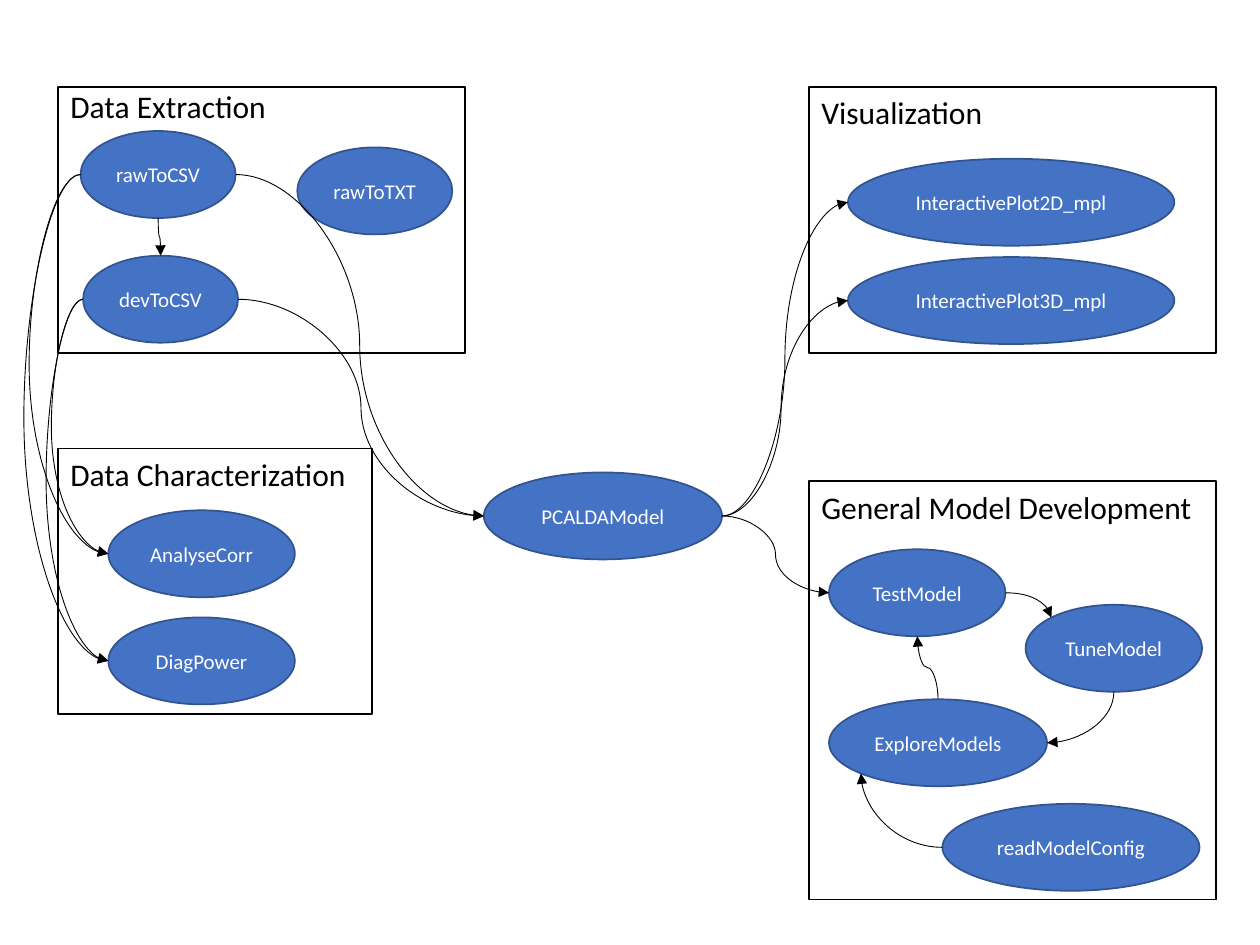
from math import cos, pi, sin

from lxml import etree
from pptx import Presentation
from pptx.dml.color import RGBColor
from pptx.enum.shapes import MSO_CONNECTOR, MSO_SHAPE
from pptx.enum.text import MSO_ANCHOR, PP_ALIGN
from pptx.oxml.ns import qn
from pptx.util import Inches, Pt

RECT, ELLIPSE = MSO_SHAPE.RECTANGLE, MSO_SHAPE.OVAL
CURVE = MSO_CONNECTOR.CURVE
TOP, MIDDLE = MSO_ANCHOR.TOP, MSO_ANCHOR.MIDDLE
LEFT, CENTER = PP_ALIGN.LEFT, PP_ALIGN.CENTER

FONT = "Calibri"
BLACK, WHITE, BLUE, NAVY = "000000", "FFFFFF", "4472C4", "325491"
NODE_H = 0.69
SITES = {"top": 0, "top_left": 1, "left": 2, "bottom_left": 3, "bottom": 4, "right": 6}

PANELS = [
    ((0.46, 0.69, 3.23, 2.11), "Data Extraction", 0, False,
     [("rawToCSV", 0.18, 0.35, 1.23), ("rawToTXT", 1.9, 0.48, 1.23),
      ("devToCSV", 0.2, 1.34, 1.23)]),
    ((0.46, 3.56, 2.49, 2.11), "Data Characterization", 0.05, True,
     [("AnalyseCorr", 0.4, 0.49, 1.48), ("DiagPower", 0.4, 1.34, 1.48)]),
    ((6.42, 3.82, 3.23, 3.32), "General Model Development", 0.05, True,
     [("TestModel", 0.16, 0.54, 1.4), ("TuneModel", 1.72, 0.98, 1.4),
      ("ExploreModels", 0.16, 1.73, 1.73), ("readModelConfig", 1.06, 2.56, 2.04)]),
    ((6.42, 0.69, 3.23, 2.11), "Visualization", 0.05, True,
     [("InteractivePlot2D_mpl", 0.31, 0.57, 2.59),
      ("InteractivePlot3D_mpl", 0.31, 1.35, 2.59)]),
]

FLOWS = [
    ("rawToCSV", "bottom", "devToCSV", "top", 0.5),
    ("rawToCSV", "left", "AnalyseCorr", "left", -1.86),
    ("devToCSV", "left", "AnalyseCorr", "left", -1.26),
    ("devToCSV", "left", "DiagPower", "left", -1.47),
    ("rawToCSV", "left", "DiagPower", "left", -2.05),
    ("devToCSV", "right", "PCALDAModel", "left", 0.5),
    ("rawToCSV", "right", "PCALDAModel", "left", 0.5),
    ("PCALDAModel", "right", "InteractivePlot3D_mpl", "left", 0.47),
    ("PCALDAModel", "right", "InteractivePlot2D_mpl", "left", 0.5),
    ("PCALDAModel", "right", "TestModel", "left", 0.5),
    ("TestModel", "right", "TuneModel", "top_left", None),
    ("TuneModel", "bottom", "ExploreModels", "right", None),
    ("ExploreModels", "top", "TestModel", "bottom", 0.5),
    ("readModelConfig", "left", "ExploreModels", "bottom_left", None),
]


def color(fmt, value):
    fmt.rgb = RGBColor.from_string(value)


def add_text(tf, text, size=12, fill=WHITE, align=CENTER, anchor=MIDDLE, wrap=True, top=0.05):
    tf.word_wrap = wrap
    tf.vertical_anchor = anchor
    tf.margin_top = Inches(top)
    p = tf.paragraphs[0]
    p.alignment = align
    r = p.add_run()
    r.text = text
    r.font.name = FONT
    r.font.size = Pt(size)
    color(r.font.color, fill)


def add_box(s, kind, box, fill, line):
    sp = s.shapes.add_shape(kind, *map(Inches, box))
    sp.shadow.inherit = False
    sp.fill.solid()
    color(sp.fill.fore_color, fill)
    color(sp.line.color, line)
    sp.line.width = Pt(1)
    return sp


def add_node(s, text, x, y, w):
    sp = add_box(s, ELLIPSE, (x, y, w, NODE_H), BLUE, NAVY)
    add_text(sp.text_frame, text)
    return sp


def add_panel(s, box, title, top, wrap, items):
    sp = add_box(s, RECT, box, WHITE, BLACK)
    add_text(sp.text_frame, title, size=18, fill=BLACK, align=LEFT, anchor=TOP,
             wrap=wrap, top=top)
    return {text: add_node(s, text, box[0] + x, box[1] + y, w) for text, x, y, w in items}


def site_point(sp, site):
    angle = pi / 2 + SITES[site] * pi / 4
    return (round(sp.left + sp.width / 2 * (1 + cos(angle))),
            round(sp.top + sp.height / 2 * (1 - sin(angle))))


def add_flow(s, start, start_site, end, end_site, bend):
    x1, y1 = site_point(start, start_site)
    x2, y2 = site_point(end, end_site)
    dx, dy = x2 - x1, y2 - y1
    rotation = 0
    if start_site in ("top", "bottom"):
        rotation = 90 if dy > 0 else 270
        cx, cy = (x1 + x2) // 2, (y1 + y2) // 2
        half_w, half_h = abs(dy) // 2, abs(dx) // 2
        if (dx > 0) == (dy > 0):
            half_h = -half_h
        x1, y1, x2, y2 = cx - half_w, cy - half_h, cx + half_w, cy + half_h
    c = s.shapes.add_connector(CURVE, x1, y1, x2, y2)
    color(c.line.color, BLACK)
    c.line.width = Pt(0.5)
    el = c._element
    sppr = el.find(qn("p:spPr"))
    if rotation:
        sppr.find(qn("a:xfrm")).set("rot", str(rotation * 60000))
    geom = sppr.find(qn("a:prstGeom"))
    if bend is None:
        geom.set("prst", "curvedConnector2")
    else:
        etree.SubElement(geom.find(qn("a:avLst")), qn("a:gd"), name="adj1",
                         fmla=f"val {round(bend * 100000)}")
    etree.SubElement(sppr.find(qn("a:ln")), qn("a:tailEnd"), type="triangle")
    etree.SubElement(sppr, qn("a:effectLst"))
    glue = next(el.iter(qn("p:cNvCxnSpPr")))
    for tag, sp, site in (("a:stCxn", start, start_site), ("a:endCxn", end, end_site)):
        etree.SubElement(glue, qn(tag), id=str(sp.shape_id), idx=str(SITES[site]))


def build_workflow(s):
    nodes = {}
    for panel in PANELS:
        nodes.update(add_panel(s, *panel))
    nodes["PCALDAModel"] = add_node(s, "PCALDAModel", 3.84, 3.75, 1.89)
    for start, start_site, end, end_site, bend in FLOWS:
        add_flow(s, nodes[start], start_site, nodes[end], end_site, bend)


prs = Presentation()
prs.slide_width, prs.slide_height = Inches(10), Inches(7.5)
build_workflow(prs.slides.add_slide(prs.slide_layouts[6]))
prs.save("out.pptx")
